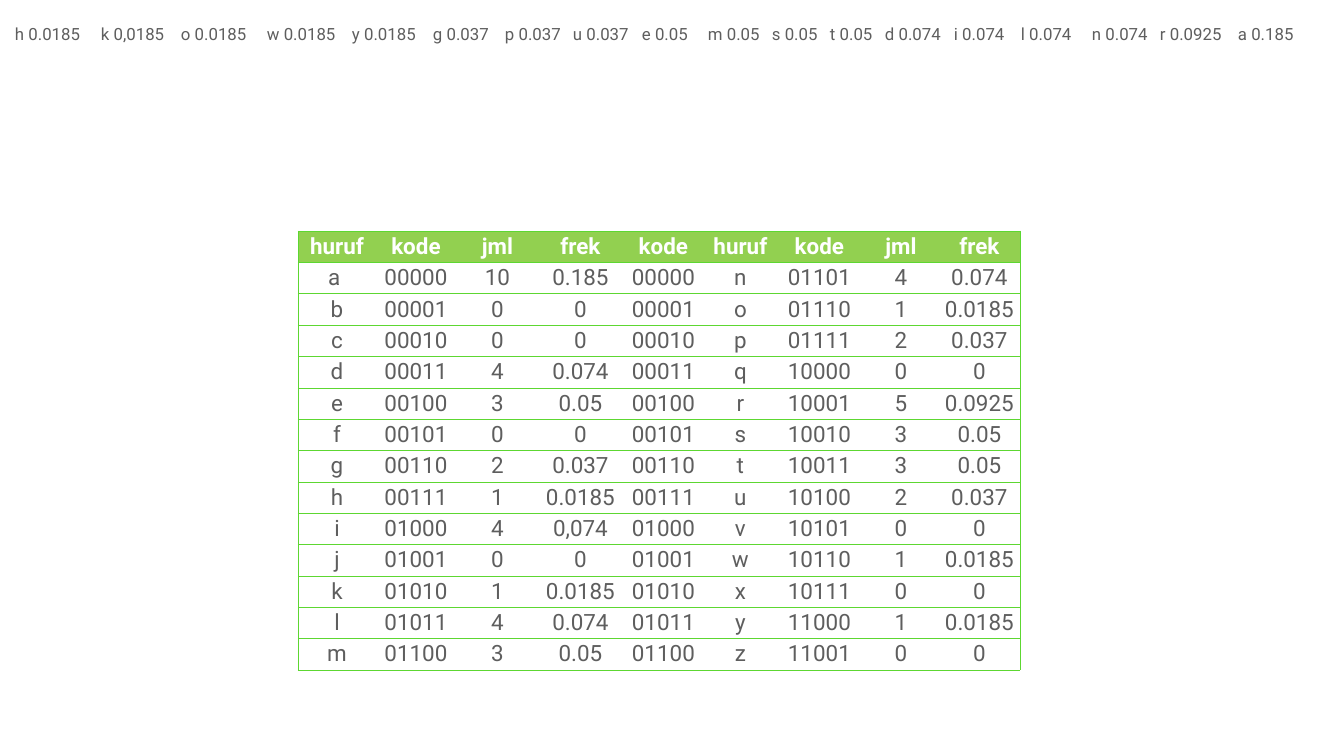
from lxml.etree import SubElement
from pptx import Presentation
from pptx.dml.color import RGBColor
from pptx.enum.text import MSO_ANCHOR, PP_ALIGN
from pptx.oxml.ns import qn
from pptx.util import Pt

SCALE = 914400 / 50.4
GREEN, LINE, WHITE, GREY = "92D050", "5DD731", "FFFFFF", "5E5E5E"


def px(pixels):
    """Turn pixels into EMU."""
    return round(pixels * SCALE)


def style_span(span, size, color, bold=False):
    """Set the font of a run."""
    for name, value in {"name": "Roboto", "size": Pt(size), "bold": bold}.items():
        setattr(span.font, name, value)
    span.font.color.rgb = RGBColor.from_string(color)


deck = Presentation()
deck.slide_width, deck.slide_height = px(1344), px(756)
page = deck.slides.add_slide(deck.slide_layouts[6])

# Letter code table
header = ["huruf", "kode", "jml", "frek", "kode", "huruf", "kode", "jml", "frek"]
first_half = [
    ("a ", 10, "0.185"), ("b", 0, "0"), ("c", 0, "0"), ("d", 4, "0.074"),
    ("e", 3, "0.05"), ("f", 0, "0"), ("g", 2, "0.037"), ("h", 1, "0.0185"),
    ("i", 4, "0,074"), ("j", 0, "0"), ("k", 1, "0.0185"), ("l", 4, "0.074"),
    ("m", 3, "0.05"),
]
second_half = [
    ("n", 4, "0.074"), ("o", 1, "0.0185"), ("p", 2, "0.037"), ("q", 0, "0"),
    ("r", 5, "0.0925"), ("s", 3, "0.05"), ("t", 3, "0.05"), ("u", 2, "0.037"),
    ("v", 0, "0"), ("w", 1, "0.0185"), ("x", 0, "0"), ("y", 1, "0.0185"),
    ("z", 0, "0"),
]
rows = [header]
for index, (left, right) in enumerate(zip(first_half, second_half)):
    code, later_code = f"{index:05b}", f"{index + len(first_half):05b}"
    rows.append([left[0], code, str(left[1]), left[2], code,
                 right[0], later_code, str(right[1]), right[2]])

widths = [78, 80, 83, 83, 83, 71, 87, 76, 81]
frame = page.shapes.add_table(len(rows), len(widths), px(298), px(231),
                              px(sum(widths)), px(31 * len(rows)))
table = frame.table
table.first_row = table.horz_banding = False
for column, width in zip(table.columns, widths):
    column.width = px(width)
for row in table.rows:
    row.height = px(31)

last = len(widths) - 1
for r, texts in enumerate(rows):
    for c, text in enumerate(texts):
        cell = table.cell(r, c)
        cell.vertical_anchor = MSO_ANCHOR.MIDDLE
        properties = cell._tc.get_or_add_tcPr()
        sides = {"a:lnL": c == 0, "a:lnR": c == last, "a:lnT": True, "a:lnB": True}
        for side, visible in sides.items():
            border = SubElement(properties, qn(side), w=str(Pt(0.75)))
            if visible:
                fill = SubElement(border, qn("a:solidFill"))
                SubElement(fill, qn("a:srgbClr"), val=LINE)
            else:
                SubElement(border, qn("a:noFill"))
        cell.fill.solid()
        cell.fill.fore_color.rgb = RGBColor.from_string(WHITE if r else GREEN)
        para = cell.text_frame.paragraphs[0]
        para.alignment = PP_ALIGN.CENTER
        span = para.add_run()
        span.text = text
        style_span(span, 32, GREY if r else WHITE, bold=r == 0)

# Frequencies in rising order, each at its own tab stop
frequencies = {
    "h 0.0185": 15, "k 0,0185": 101, "o 0.0185": 181, "w 0.0185": 267,
    "y 0.0185": 352, "g 0.037": 433, "p 0.037": 505, "u 0.037": 573,
    "e 0.05": 642, "m 0.05": 708, "s 0.05": 772, "t 0.05": 830,
    "d 0.074": 885, "i 0.074": 954, "l 0.074": 1021, "n 0.074": 1092,
    "r 0.0925": 1160, "a 0.185": 1238,
}
box = page.shapes.add_textbox(px(12), px(21), px(1326), px(26))
text_frame = box.text_frame
text_frame.word_wrap = True
for side in ("left", "right", "top", "bottom"):
    setattr(text_frame, f"margin_{side}", px(3))
para = text_frame.paragraphs[0]
tab_list = SubElement(para._p.get_or_add_pPr(), qn("a:tabLst"))
start, *stops = frequencies.values()
for stop in stops:
    SubElement(tab_list, qn("a:tab"), pos=str(px(stop - start)), algn="l")
span = para.add_run()
span.text = "\t".join(frequencies)
style_span(span, 24, GREY)

deck.save("out.pptx")
